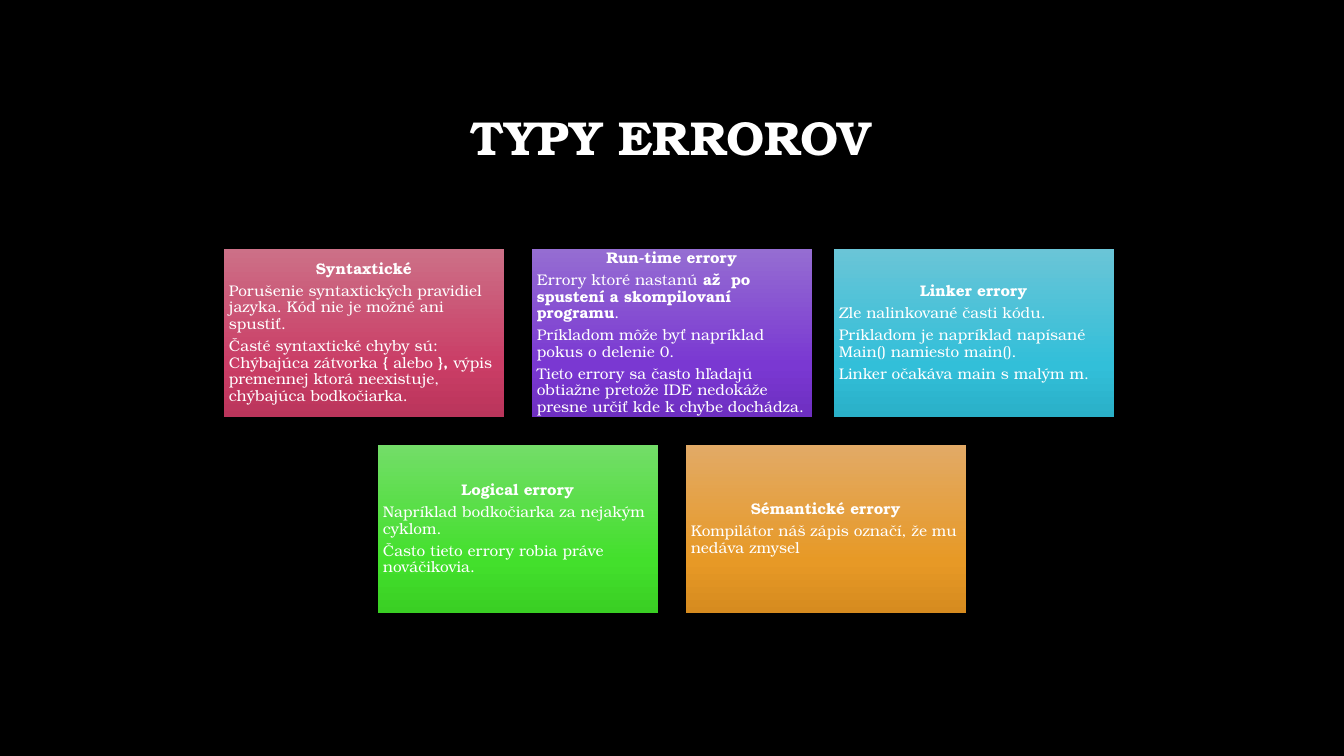
import copy

import pptx
import pptx.dml.color
import pptx.enum.shapes
import pptx.enum.text
import pptx.oxml.ns
import pptx.util

Cm = pptx.util.Cm
RGBColor = pptx.dml.color.RGBColor
ALIGN = pptx.enum.text.PP_ALIGN
ANCHOR = pptx.enum.text.MSO_ANCHOR

FONT = "TeX Gyre Bonum"
BLACK = RGBColor(0x00, 0x00, 0x00)
WHITE = RGBColor(0xFF, 0xFF, 0xFF)
ROSE = RGBColor(0xCC, 0x70, 0x87), RGBColor(0xCA, 0x3D, 0x66), RGBColor(0xBA, 0x35, 0x5B)
VIOLET = RGBColor(0x95, 0x6D, 0xD2), RGBColor(0x7A, 0x38, 0xD2), RGBColor(0x6E, 0x2F, 0xC1)
CYAN = RGBColor(0x6A, 0xC5, 0xD7), RGBColor(0x32, 0xBF, 0xD9), RGBColor(0x2A, 0xB0, 0xC8)
GREEN = RGBColor(0x73, 0xDD, 0x68), RGBColor(0x43, 0xE0, 0x2C), RGBColor(0x3A, 0xCF, 0x24)
ORANGE = RGBColor(0xE2, 0xAA, 0x66), RGBColor(0xE7, 0x99, 0x26), RGBColor(0xD6, 0x8B, 0x1F)
STOPS = 0, 0.69, 1

# Sizes in centimetres
TILE_W, TILE_H, GAP = 7.06, 4.24, 0.7
INSET = 0.13

# Each tile: colours, sideways shift, heading, paragraphs.
# A paragraph is a list of pieces that are plain and bold in turn.
ROWS = [
    [
        (ROSE, 0, "Syntaxtické", [
            ["Porušenie syntaxtických pravidiel jazyka. Kód nie je možné ani spustiť."],
            ["Časté syntaxtické chyby sú: Chýbajúca zátvorka ", "{ ", "alebo ", "}, ",
             "výpis premennej ktorá neexistuje, chýbajúca bodkočiarka."],
        ]),
        (VIOLET, 0, "Run-time errory", [
            ["Errory ktoré nastanú", " až  po spustení a skompilovaní programu", "."],
            ["Príkladom môže byť napríklad pokus o delenie 0."],
            ["Tieto errory sa často hľadajú obtiažne pretože IDE nedokáže presne určiť "
             "kde k chybe dochádza."],
        ]),
        (CYAN, -0.15, "Linker errory", [
            ["Zle nalinkované časti kódu."],
            ["Príkladom je napríklad napísané Main() namiesto main()."],
            ["Linker očakáva main s malým m."],
        ]),
    ],
    [
        (GREEN, 0, "Logical errory", [
            ["Napríklad bodkočiarka za nejakým cyklom."],
            ["Často tieto errory robia práve nováčikovia."],
        ]),
        (ORANGE, 0, "Sémantické errory", [
            ["Kompilátor náš zápis označí, že mu nedáva zmysel"],
        ]),
    ],
]


def write(p, text, size=11, bold=False, align=ALIGN.LEFT, after=3.85):
    """Add a run to paragraph p and format both."""
    p.alignment = align
    p.line_spacing = 0.9
    p.space_before = pptx.util.Pt(0)
    p.space_after = pptx.util.Pt(after)
    r = p.add_run()
    r.text = text
    r.font.name = FONT
    r.font.size = pptx.util.Pt(size)
    r.font.bold = bold
    r.font.color.rgb = WHITE


def fill_gradient(sp, colors):
    """Fill sp from top to bottom with three colours."""
    sp.fill.gradient()
    sp.fill.gradient_angle = 270
    stop_list = next(sp._element.iter(pptx.oxml.ns.qn("a:gsLst")))
    stop_list.append(copy.deepcopy(stop_list[0]))
    for stop, position, color in zip(sp.fill.gradient_stops, STOPS, colors):
        stop.position = position
        stop.color.rgb = color


def add_title(slide, text, left, top, width, height):
    sp = slide.shapes.title
    sp.left, sp.top, sp.width, sp.height = Cm(left), Cm(top), Cm(width), Cm(height)
    tf = sp.text_frame
    tf.word_wrap = True
    tf.auto_size = pptx.enum.text.MSO_AUTO_SIZE.NONE
    tf.vertical_anchor = ANCHOR.MIDDLE
    write(tf.paragraphs[0], text, size=34, bold=True, align=ALIGN.CENTER, after=0)


def add_tile(slide, left, top, colors, heading, paragraphs):
    sp = slide.shapes.add_shape(pptx.enum.shapes.MSO_SHAPE.RECTANGLE,
                                Cm(left), Cm(top), Cm(TILE_W), Cm(TILE_H))
    sp.shadow.inherit = False
    sp.line.fill.background()
    fill_gradient(sp, colors)
    tf = sp.text_frame
    tf.word_wrap = True
    tf.vertical_anchor = ANCHOR.MIDDLE
    tf.margin_left = tf.margin_right = tf.margin_top = tf.margin_bottom = Cm(INSET)
    write(tf.paragraphs[0], heading, bold=True, align=ALIGN.CENTER)
    for pieces in paragraphs:
        p = tf.add_paragraph()
        for i, piece in enumerate(pieces):
            write(p, piece, bold=i % 2 == 1)


def add_tile_rows(slide, rows, left, top, width):
    """Centre each row of tiles in the given width."""
    for i, row in enumerate(rows):
        row_w = len(row) * (TILE_W + GAP) - GAP
        row_left = left + (width - row_w) / 2
        for j, (colors, shift, heading, paragraphs) in enumerate(row):
            add_tile(slide, row_left + j * (TILE_W + GAP) + shift,
                     top + i * (TILE_H + GAP), colors, heading, paragraphs)


def main():
    prs = pptx.Presentation()
    prs.slide_width, prs.slide_height = Cm(33.87), Cm(19.05)
    slide = prs.slides.add_slide(prs.slide_layouts.get_by_name("Title Only"))
    slide.background.fill.solid()
    slide.background.fill.fore_color.rgb = BLACK
    add_title(slide, "TYPY ERROROV", 2.54, 1.7, 28.75, 3.68)
    add_tile_rows(slide, ROWS, 5.64, 6.27, 22.58)
    prs.save("out.pptx")


if __name__ == "__main__":
    main()
